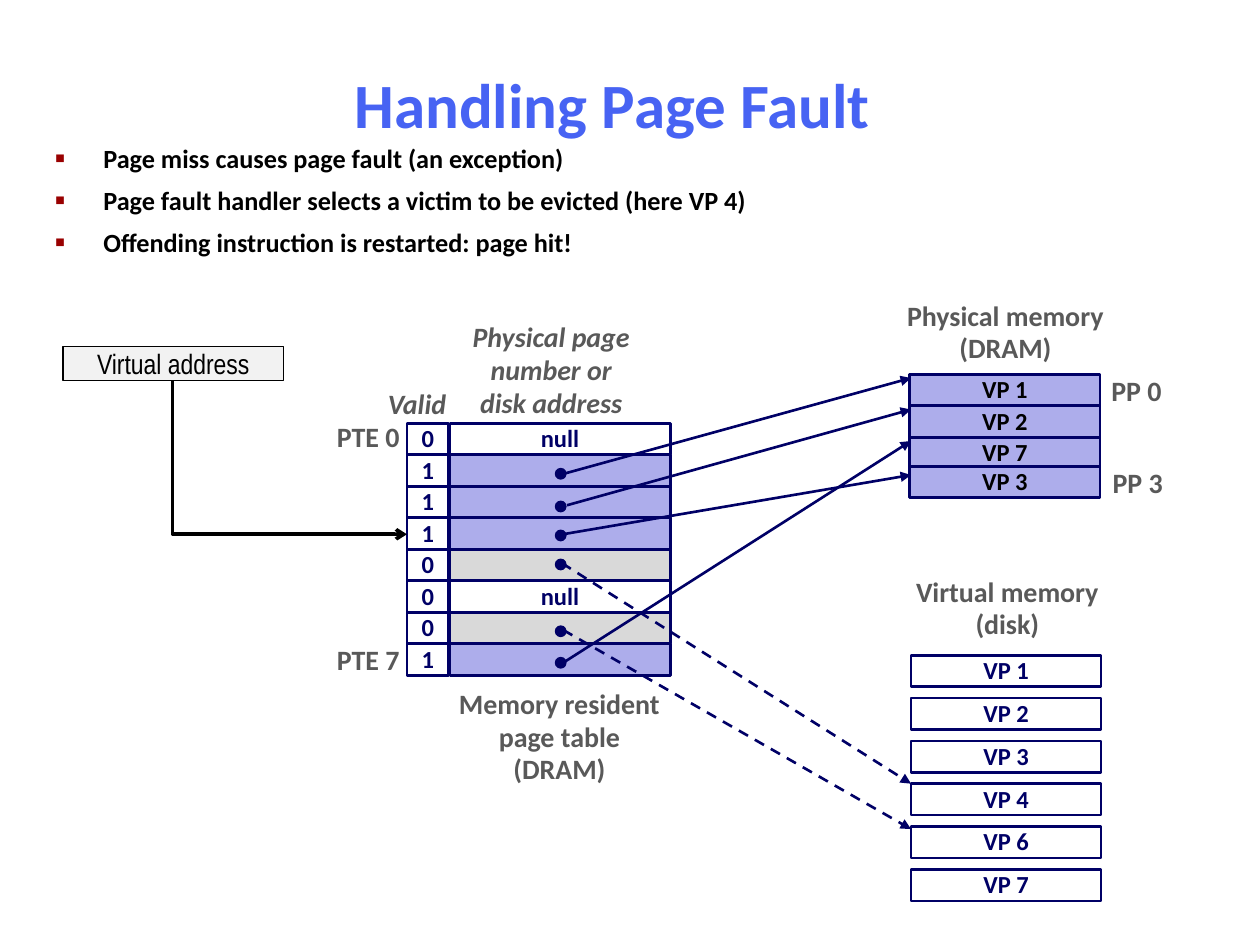
"""Build the page fault slide."""
from lxml import etree
from pptx import Presentation
from pptx.dml.color import RGBColor
from pptx.enum import dml, shapes, text
from pptx.oxml import ns
from pptx.util import Inches, Pt

NAVY = RGBColor(0x00, 0x00, 0x66)
LILAC = RGBColor(0xAD, 0xAD, 0xEB)
SILVER = RGBColor(0xD9, 0xD9, 0xD9)
PALE = RGBColor(0xF2, 0xF2, 0xF2)
GRAY = RGBColor(0x59, 0x59, 0x59)
WHITE = RGBColor(0xFF, 0xFF, 0xFF)
BLACK = RGBColor(0x00, 0x00, 0x00)
BLUE = RGBColor(0x47, 0x63, 0xF3)
RED = "990000"
LEFT, MID, RIGHT = text.PP_ALIGN.LEFT, text.PP_ALIGN.CENTER, text.PP_ALIGN.RIGHT
RECT, OVAL = shapes.MSO_SHAPE.RECTANGLE, shapes.MSO_SHAPE.OVAL
ROW = 0.25

POINTS = [
    "Page miss causes page fault (an exception)",
    "Page fault handler selects a victim to be evicted (here VP 4)",
    "Offending instruction is restarted: page hit!",
]
ENTRIES = [
    ("0", "null", WHITE, None),
    ("1", "", LILAC, 3.72),
    ("1", "", LILAC, 3.98),
    ("1", "", LILAC, 4.21),
    ("0", "", SILVER, 4.44),
    ("0", "null", WHITE, None),
    ("0", "", SILVER, 4.97),
    ("1", "", LILAC, 5.22),
]
FRAMES = [("VP 1", 2.97), ("VP 2", 3.22), ("VP 7", 3.47), ("VP 3", 3.7)]
DISK = ["VP 1", "VP 2", "VP 3", "VP 4", "VP 6", "VP 7"]
LABELS = [
    (3.54, 5.41, 1.8, 0.89, ["Memory resident", "page table", "(DRAM)"], MID, False),
    (7.1, 2.33, 1.76, 0.62, ["Physical memory", "(DRAM)"], MID, False),
    (7.17, 4.52, 1.65, 0.62, ["Virtual memory", "(disk)"], MID, False),
    (2.98, 3.03, 0.75, 0.36, ["Valid"], LEFT, True),
    (3.65, 2.5, 1.45, 0.89, ["Physical page", "number or", "disk address"], MID, True),
    (2.57, 3.29, 0.7, 0.36, ["PTE 0"], RIGHT, False),
    (2.57, 5.06, 0.7, 0.36, ["PTE 7"], RIGHT, False),
    (8.72, 2.93, 0.6, 0.36, ["PP 0"], MID, False),
    (8.73, 3.66, 0.6, 0.36, ["PP 3"], MID, False),
]
ARROWS = [
    (4.44, 3.77, 3, False),
    (4.5, 4.01, 3.25, False),
    (4.47, 4.24, 3.77, False),
    (4.46, 4.47, 6.22, True),
    (4.47, 5, 6.58, True),
    (4.47, 5.26, 3.5, False),
]


def write(para, words, size, color, bold=True, italic=False, face="Calibri"):
    """Add one formatted run to a paragraph."""
    run = para.add_run()
    run.text = words
    font = run.font
    font.name, font.size = face, Pt(size)
    font.bold, font.italic = bold, italic
    font.color.rgb = color


def place(shape, *box):
    """Move a shape to a box given in inches."""
    shape.left, shape.top, shape.width, shape.height = map(Inches, box)


def head(slide):
    """Fill the title."""
    title = slide.shapes.title
    place(title, 0.33, 0.39, 9.06, 0.86)
    frame = title.text_frame
    frame.auto_size = text.MSO_AUTO_SIZE.NONE
    frame.vertical_anchor = text.MSO_ANCHOR.MIDDLE
    frame.paragraphs[0].alignment = MID
    write(frame.paragraphs[0], "Handling Page Fault", 36, BLUE)


def mark(para):
    """Give a paragraph a small square bullet and a hanging indent."""
    props = para._p.get_or_add_pPr()
    props.set("marL", str(Inches(0.38)))
    props.set("indent", str(Inches(-0.38)))
    color = etree.SubElement(props, ns.qn("a:buClr"))
    etree.SubElement(color, ns.qn("a:srgbClr"), val=RED)
    etree.SubElement(props, ns.qn("a:buSzPct"), val="60000")
    etree.SubElement(props, ns.qn("a:buFont"), typeface="Arial")
    etree.SubElement(props, ns.qn("a:buChar"), char="\u25a0")


def points(slide):
    """Fill the bullet list."""
    body = slide.placeholders[1]
    place(body, 0.34, 1.08, 9.09, 1)
    frame = body.text_frame
    frame.auto_size = text.MSO_AUTO_SIZE.NONE
    for i, words in enumerate(POINTS):
        para = frame.add_paragraph() if i else frame.paragraphs[0]
        para.space_before = Pt(6)
        mark(para)
        write(para, words, 15, BLACK)


def block(slide, box, fill, kind=RECT, line=NAVY, width=1.5):
    """Draw a shape, left hollow when it has no fill."""
    shape = slide.shapes.add_shape(kind, *map(Inches, box))
    shape.shadow.inherit = False
    if fill is None:
        shape.fill.background()
    else:
        shape.fill.solid()
        shape.fill.fore_color.rgb = fill
    shape.line.color.rgb = line
    shape.line.width = Pt(width)
    return shape


def cell(slide, box, fill, words="", color=NAVY):
    """Draw a box with a centred caption."""
    shape = block(slide, box, fill)
    if words:
        frame = shape.text_frame
        frame.word_wrap = False
        frame.vertical_anchor = text.MSO_ANCHOR.MIDDLE
        para = frame.paragraphs[0]
        para.alignment, para.line_spacing = MID, 0.98
        write(para, words, 14, color)


def label(slide, x, y, w, h, lines, align, italic):
    """Add a grey caption, one paragraph a line."""
    frame = slide.shapes.add_textbox(*map(Inches, (x, y, w, h))).text_frame
    frame.word_wrap = True
    frame.margin_left = frame.margin_right = Inches(0.05 if align == MID else 0.1)
    for i, words in enumerate(lines):
        para = frame.add_paragraph() if i else frame.paragraphs[0]
        para.alignment, para.line_spacing = align, 0.98
        write(para, words, 16, GRAY, italic=italic)


def link(slide, kind, ends, color, width, tip, dash=False):
    """Draw a connector with an arrowhead at its end."""
    line = slide.shapes.add_connector(kind, *map(Inches, ends))
    line.line.color.rgb = color
    line.line.width = Pt(width)
    if dash:
        line.line.dash_style = dml.MSO_LINE.DASH
    etree.SubElement(line.line._get_or_add_ln(), ns.qn("a:tailEnd"), type=tip)
    etree.SubElement(line._element.spPr, ns.qn("a:effectLst"))
    return line


def source(slide):
    """Draw the virtual address and its bent arrow to the table."""
    shape = block(slide, (0.5, 2.75, 1.75, 0.27), PALE, line=BLACK, width=1)
    frame = shape.text_frame
    frame.vertical_anchor = text.MSO_ANCHOR.MIDDLE
    frame.paragraphs[0].alignment = MID
    write(frame.paragraphs[0], "Virtual address", 16, BLACK, False, face="Arial Narrow")
    bend = link(slide, shapes.MSO_CONNECTOR.ELBOW, (1.69, 2.7, 2.91, 4.56), BLACK, 2, "arrow")
    props = bend._element.spPr
    props.find(ns.qn("a:prstGeom")).set("prst", "bentConnector2")
    turn = props.find(ns.qn("a:xfrm"))
    turn.set("rot", str(270 * 60000))
    turn.set("flipH", "1")


def main():
    """Build and save the slide."""
    deck = Presentation()
    deck.slide_width, deck.slide_height = Inches(10), Inches(7.5)
    slide = deck.slides.add_slide(deck.slide_layouts[1])
    head(slide)
    points(slide)
    for i, (valid, words, fill, dot) in enumerate(ENTRIES):
        top = 3.36 + i * ROW
        cell(slide, (3.57, top, 1.75, ROW), fill, words)
        cell(slide, (3.23, top, 0.33, ROW), None, valid)
        if dot:
            block(slide, (4.41, dot, 0.08, 0.08), NAVY, OVAL, width=1)
    for words, top in FRAMES:
        cell(slide, (7.22, top, 1.51, ROW), LILAC, words, BLACK)
    for i, words in enumerate(DISK):
        cell(slide, (7.23, 5.2 + i * 0.34, 1.51, ROW), WHITE, words)
    for item in LABELS:
        label(slide, *item)
    for x, y, end, dash in ARROWS:
        link(slide, shapes.MSO_CONNECTOR.STRAIGHT, (x, y, 7.23, end), NAVY, 1.5, "triangle", dash)
    source(slide)
    deck.save("out.pptx")


main()
